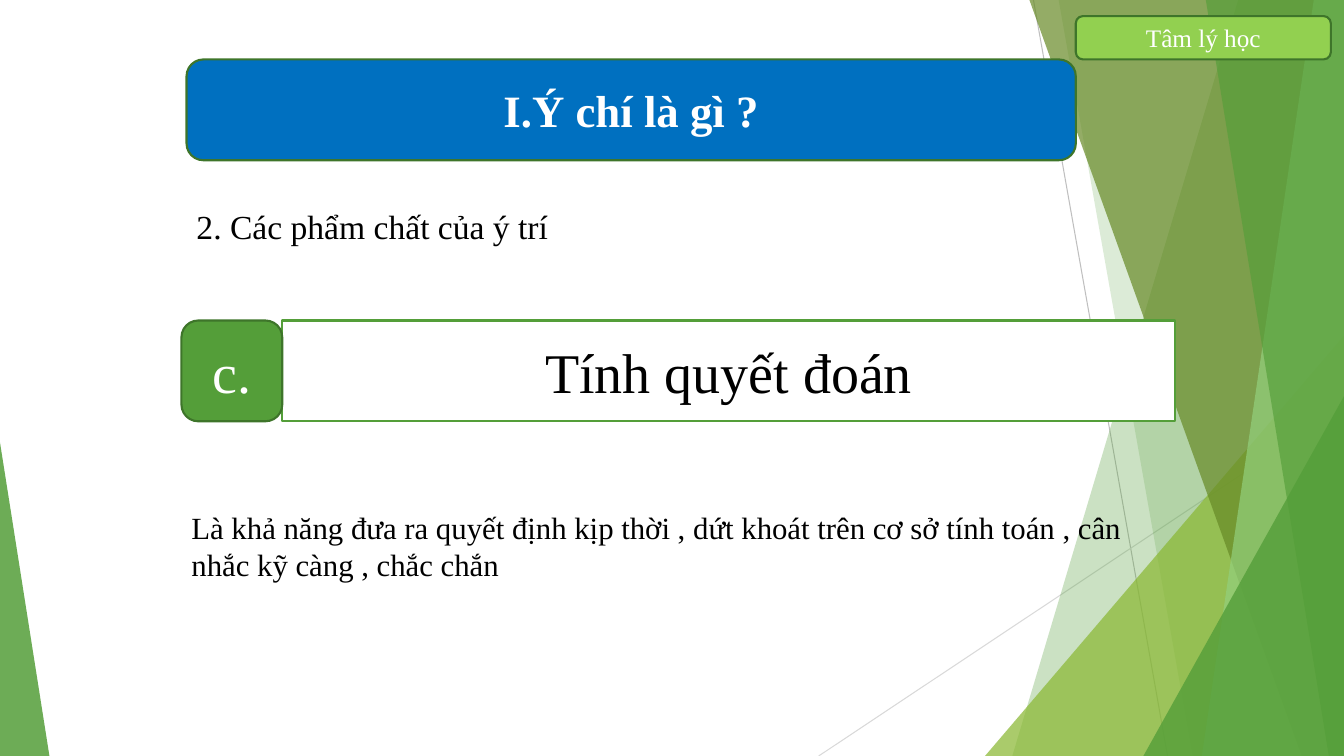
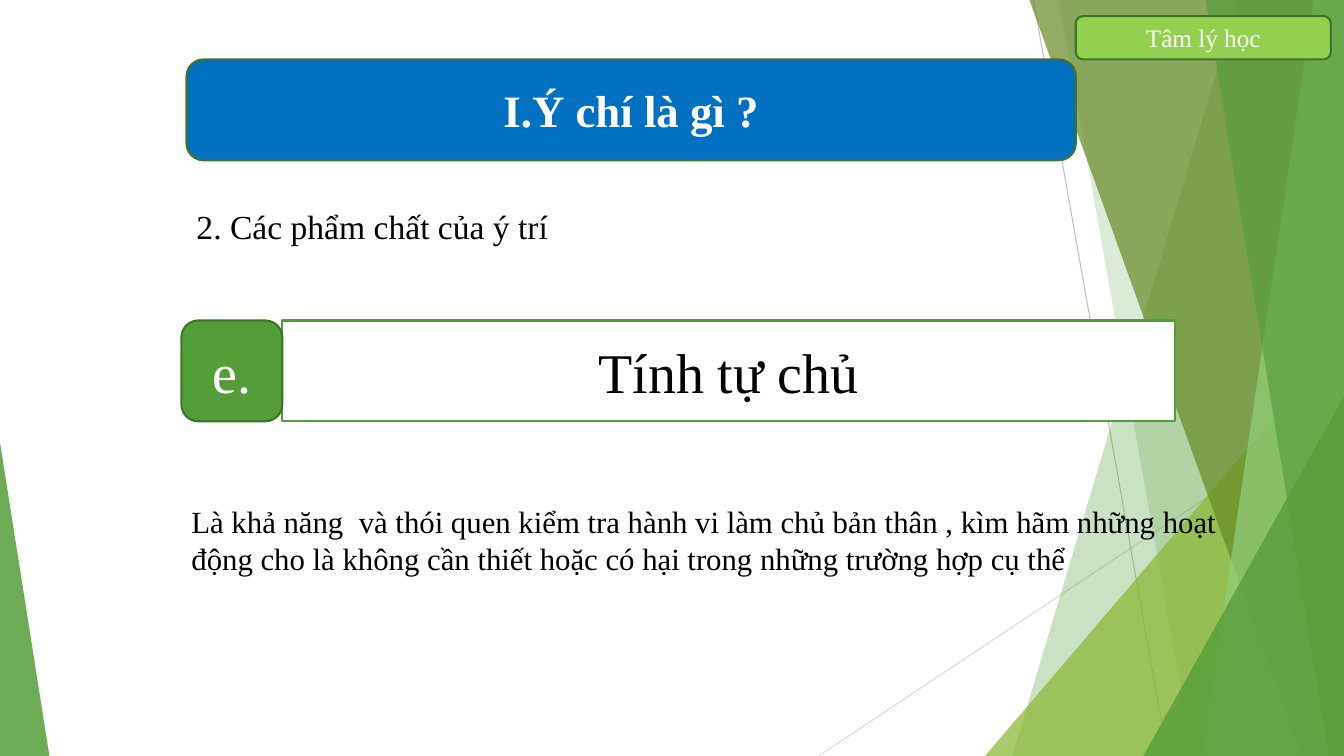
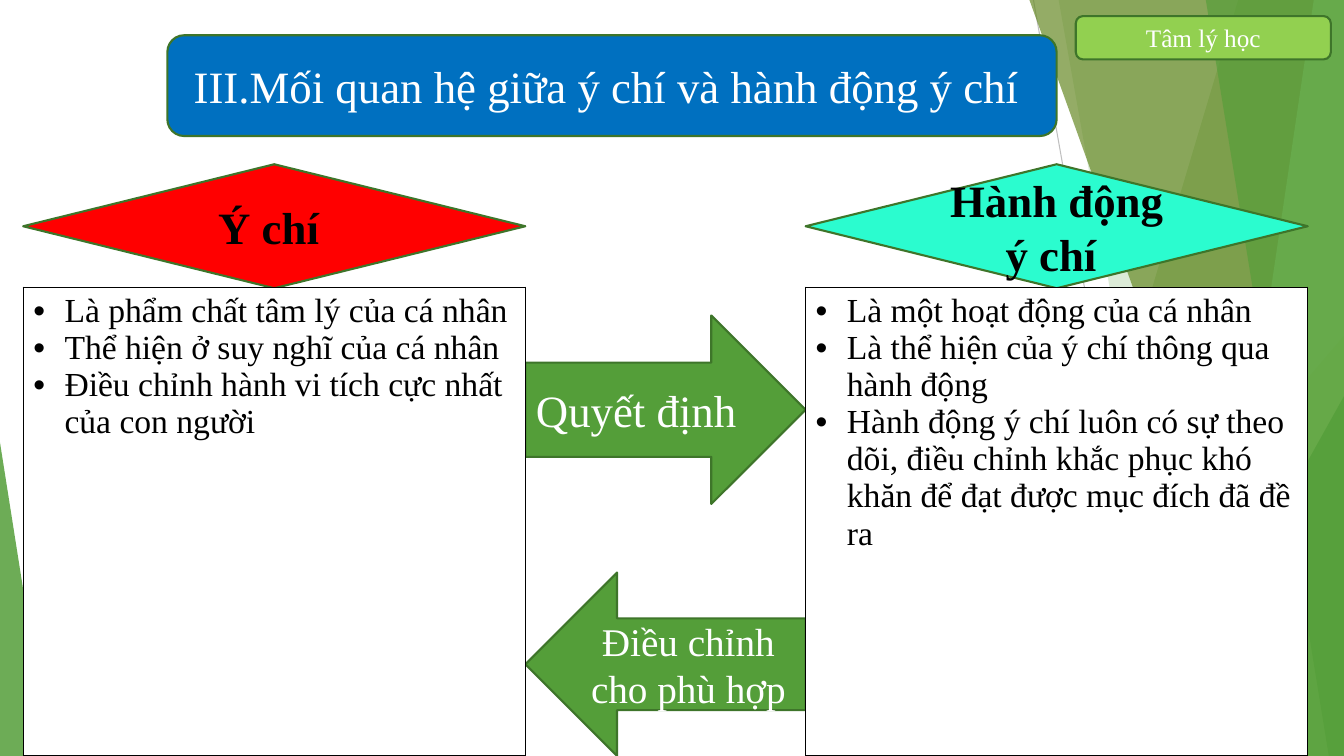
from dataclasses import dataclass
from typing import NamedTuple

from lxml import etree
from pptx import Presentation
from pptx.dml.color import RGBColor
from pptx.enum.shapes import MSO_CONNECTOR, MSO_SHAPE
from pptx.enum.text import PP_ALIGN
from pptx.oxml.ns import qn
from pptx.slide import Slide
from pptx.util import Inches, Pt

ROUNDED = MSO_SHAPE.ROUNDED_RECTANGLE
RECTANGLE = MSO_SHAPE.RECTANGLE
DIAMOND = MSO_SHAPE.DIAMOND
TRIANGLE = MSO_SHAPE.ISOSCELES_TRIANGLE
RIGHT_ARROW = MSO_SHAPE.RIGHT_ARROW
LEFT_ARROW = MSO_SHAPE.LEFT_ARROW
STRAIGHT = MSO_CONNECTOR.STRAIGHT
CENTER = PP_ALIGN.CENTER
LEFT = PP_ALIGN.LEFT


@dataclass(frozen=True)
class Theme:
    font: str = "Times New Roman"
    white: str = "FFFFFF"
    black: str = "000000"
    green: str = "549E39"
    outline: str = "3E752A"
    tag: str = "92D050"
    title: str = "0070C0"
    lime: str = "8AB833"
    olive: str = "678A26"
    mint: str = "93D07D"
    red: str = "FF0000"
    aqua: str = "2BFCCF"
    dark_rule: str = "BFBFBF"
    light_rule: str = "D9D9D9"
    tag_size: int = 18
    body_size: int = 22
    list_size: int = 24
    arrow_size: int = 28
    title_size: int = 32
    quality_size: int = 40


THEME = Theme()
WIDTH, HEIGHT = 13.33, 7.5


class Box(NamedTuple):
    left: float
    top: float
    width: float
    height: float

    def lengths(self) -> list[int]:
        return [Inches(value) for value in self]


class Rule(NamedTuple):
    start: tuple[float, float]
    end: tuple[float, float]
    color: str


class Facet(NamedTuple):
    """Band running from the top to the bottom, up to the right edge."""
    top_x: float
    bottom_x: float
    color: str
    opacity: int


class Corner(NamedTuple):
    """Right-angled triangle standing on the bottom edge."""
    box: Box
    apex: float
    color: str
    opacity: int


@dataclass(frozen=True)
class Block:
    kind: int
    box: Box
    text: str
    fill: str
    size: int
    color: str = THEME.white
    line: str = THEME.outline
    bold: bool = False


@dataclass(frozen=True)
class Quality:
    letter: str
    name: str
    meaning: str
    meaning_box: Box


@dataclass(frozen=True)
class Column:
    left: float
    heading: str
    fill: str
    points: tuple[str, ...]


# Shared background, from back to front
DECORATION = (
    Rule((10.25, 0), (11.58, HEIGHT), THEME.dark_rule),
    Rule((WIDTH, 4.03), (8.12, HEIGHT), THEME.light_rule),
    Facet(12.28, 10.04, THEME.green, 30),
    Facet(10.5, 11.83, THEME.green, 20),
    Corner(Box(9.77, 3.33, 3.56, 4.17), 1, THEME.lime, 72),
    Facet(10.21, 12.91, THEME.olive, 70),
    Facet(13.03, 11.92, THEME.mint, 70),
    Facet(11.96, 13.18, THEME.green, 65),
    Corner(Box(11.34, 3.93, 1.99, 3.57), 1, THEME.green, 80),
    Corner(Box(0, 4.39, 0.49, 3.11), 0, THEME.green, 85),
)

SUBJECT_TAG = Block(ROUNDED, Box(10.67, 0.16, 2.53, 0.43), "Tâm lý học",
                    THEME.tag, THEME.tag_size)

# Slide content
QUALITIES = (
    Quality("c.", "Tính quyết đoán",
            "Là khả năng đưa ra quyết định kịp thời , dứt khoát trên cơ sở "
            "tính toán , cân nhắc kỹ càng , chắc chắn",
            Box(1.8, 5, 9.85, 0.84)),
    Quality("e.", "Tính tự chủ",
            "Là khả năng  và thói quen kiểm tra hành vi làm chủ bản thân , "
            "kìm hãm những hoạt động cho là không cần thiết hoặc có hại "
            "trong những trường hợp cụ thể",
            Box(1.8, 4.94, 10.42, 0.84)),
)

COLUMN_WIDTH = 4.98
COLUMNS = (
    Column(0.23, "Ý chí ", THEME.red, (
        "Là phẩm chất tâm lý của cá nhân",
        "Thể hiện ở suy nghĩ của cá nhân",
        "Điều chỉnh hành vi tích cực nhất của con người",
    )),
    Column(7.99, "Hành động ý chí ", THEME.aqua, (
        "Là một hoạt động của cá nhân",
        "Là thể hiện của ý chí thông qua hành động",
        "Hành động ý chí luôn có sự theo dõi, điều chỉnh khắc phục khó khăn "
        "để đạt được mục đích đã đề ra",
    )),
)
ARROW_LEFT = COLUMNS[0].left + COLUMN_WIDTH
ARROW_WIDTH = COLUMNS[1].left - ARROW_LEFT
ARROWS = (
    Block(LEFT_ARROW, Box(ARROW_LEFT, 5.68, ARROW_WIDTH, 1.82),
          "Điều chỉnh cho phù hợp", THEME.green, THEME.arrow_size),
    Block(RIGHT_ARROW, Box(ARROW_LEFT, 3.13, ARROW_WIDTH, 1.87),
          "Quyết định ", THEME.green, THEME.title_size),
)


def rgb(color: str) -> RGBColor:
    return RGBColor.from_string(color)


def format_text(paragraph, size: int, color: str, bold: bool = False,
                alignment: PP_ALIGN = LEFT) -> None:
    paragraph.alignment = alignment
    for run in paragraph.runs:
        run.font.name = THEME.font
        run.font.size = Pt(size)
        run.font.bold = bold
        run.font.color.rgb = rgb(color)


# Background
def add_rule(slide: Slide, rule: Rule) -> None:
    ends = [Inches(value) for value in rule.start + rule.end]
    connector = slide.shapes.add_connector(STRAIGHT, *ends)
    connector.line.color.rgb = rgb(rule.color)
    connector.line.width = Pt(0.75)
    etree.SubElement(connector.element.spPr, qn("a:effectLst"))


def fill_translucent(shape, color: str, opacity: int) -> None:
    shape.shadow.inherit = False
    shape.line.fill.background()
    shape.fill.solid()
    shape.fill.fore_color.rgb = rgb(color)
    color_element = shape.element.spPr.find(".//" + qn("a:srgbClr"))
    etree.SubElement(color_element, qn("a:alpha"), val=str(opacity * 1000))


def add_facet(slide: Slide, facet: Facet) -> None:
    builder = slide.shapes.build_freeform(Inches(facet.top_x), 0)
    corners = ((WIDTH, 0), (WIDTH, HEIGHT), (facet.bottom_x, HEIGHT))
    builder.add_line_segments([(Inches(x), Inches(y)) for x, y in corners])
    fill_translucent(builder.convert_to_shape(), facet.color, facet.opacity)


def add_corner(slide: Slide, corner: Corner) -> None:
    shape = slide.shapes.add_shape(TRIANGLE, *corner.box.lengths())
    shape.adjustments[0] = corner.apex
    fill_translucent(shape, corner.color, corner.opacity)


PAINTERS = {Rule: add_rule, Facet: add_facet, Corner: add_corner}


def add_base_slide(presentation) -> Slide:
    slide = presentation.slides.add_slide(presentation.slide_layouts[6])
    for part in DECORATION:
        PAINTERS[type(part)](slide, part)
    add_block(slide, SUBJECT_TAG)
    return slide


# Content parts
def add_block(slide: Slide, block: Block) -> None:
    shape = slide.shapes.add_shape(block.kind, *block.box.lengths())
    shape.shadow.inherit = False
    shape.fill.solid()
    shape.fill.fore_color.rgb = rgb(block.fill)
    shape.line.color.rgb = rgb(block.line)
    shape.line.width = Pt(1.5)
    shape.text_frame.text = block.text
    format_text(shape.text_frame.paragraphs[0], block.size, block.color,
                block.bold, CENTER)


def add_title(slide: Slide, left: float, top: float, text: str,
              bold: bool = False) -> None:
    add_block(slide, Block(ROUNDED, Box(left, top, 8.82, 1), text,
                           THEME.title, THEME.title_size, bold=bold))


def add_text(slide: Slide, box: Box, text: str, size: int) -> None:
    text_frame = slide.shapes.add_textbox(*box.lengths()).text_frame
    text_frame.word_wrap = True
    text_frame.text = text
    format_text(text_frame.paragraphs[0], size, THEME.black)


def add_bullet(paragraph) -> None:
    properties = paragraph._p.get_or_add_pPr()
    indent = Inches(0.31)
    properties.set("marL", str(indent))
    properties.set("indent", str(-indent))
    etree.SubElement(properties, qn("a:buFont"), typeface="Arial")
    etree.SubElement(properties, qn("a:buChar"), char="•")


def add_borders(cell, color: str) -> None:
    properties = cell._tc.get_or_add_tcPr()
    for side in ("lnL", "lnR", "lnT", "lnB"):
        border = etree.SubElement(properties, qn("a:" + side), w=str(Pt(1)))
        fill = etree.SubElement(border, qn("a:solidFill"))
        etree.SubElement(fill, qn("a:srgbClr"), val=color)


def add_point_table(slide: Slide, box: Box, points: tuple[str, ...]) -> None:
    table = slide.shapes.add_table(1, 1, *box.lengths()).table
    table.first_row = False
    table.horz_banding = False
    cell = table.cell(0, 0)
    add_borders(cell, THEME.black)
    cell.fill.solid()
    cell.fill.fore_color.rgb = rgb(THEME.white)
    cell.text_frame.text = "\n".join(points)
    for paragraph in cell.text_frame.paragraphs:
        format_text(paragraph, THEME.list_size, THEME.black)
        add_bullet(paragraph)


# Slides
def add_quality_slide(presentation, quality: Quality) -> None:
    slide = add_base_slide(presentation)
    add_title(slide, 1.85, 0.59, "I.Ý chí là gì ?", bold=True)
    add_text(slide, Box(1.85, 1.99, 3.89, 0.5), "2. Các phẩm chất của ý trí",
             THEME.list_size)
    add_block(slide, Block(RECTANGLE, Box(2.8, 3.18, 8.85, 1), quality.name,
                           THEME.white, THEME.quality_size, THEME.black,
                           THEME.green))
    add_block(slide, Block(ROUNDED, Box(1.8, 3.18, 1, 1), quality.letter,
                           THEME.green, THEME.quality_size))
    add_text(slide, quality.meaning_box, quality.meaning, THEME.body_size)


def add_relation_slide(presentation) -> None:
    slide = add_base_slide(presentation)
    add_title(slide, 1.66, 0.35,
              "III.Mối quan hệ giữa ý chí và hành động ý chí ")
    for arrow in ARROWS:
        add_block(slide, arrow)
    for column in COLUMNS:
        add_block(slide, Block(DIAMOND,
                               Box(column.left, 1.63, COLUMN_WIDTH, 1.23),
                               column.heading, column.fill, THEME.title_size,
                               THEME.black, bold=True))
        add_point_table(slide, Box(column.left, 2.85, COLUMN_WIDTH, 4.65),
                        column.points)


def main() -> None:
    presentation = Presentation()
    presentation.slide_width = Inches(WIDTH)
    presentation.slide_height = Inches(HEIGHT)
    for quality in QUALITIES:
        add_quality_slide(presentation, quality)
    add_relation_slide(presentation)
    presentation.save("out.pptx")


if __name__ == "__main__":
    main()
